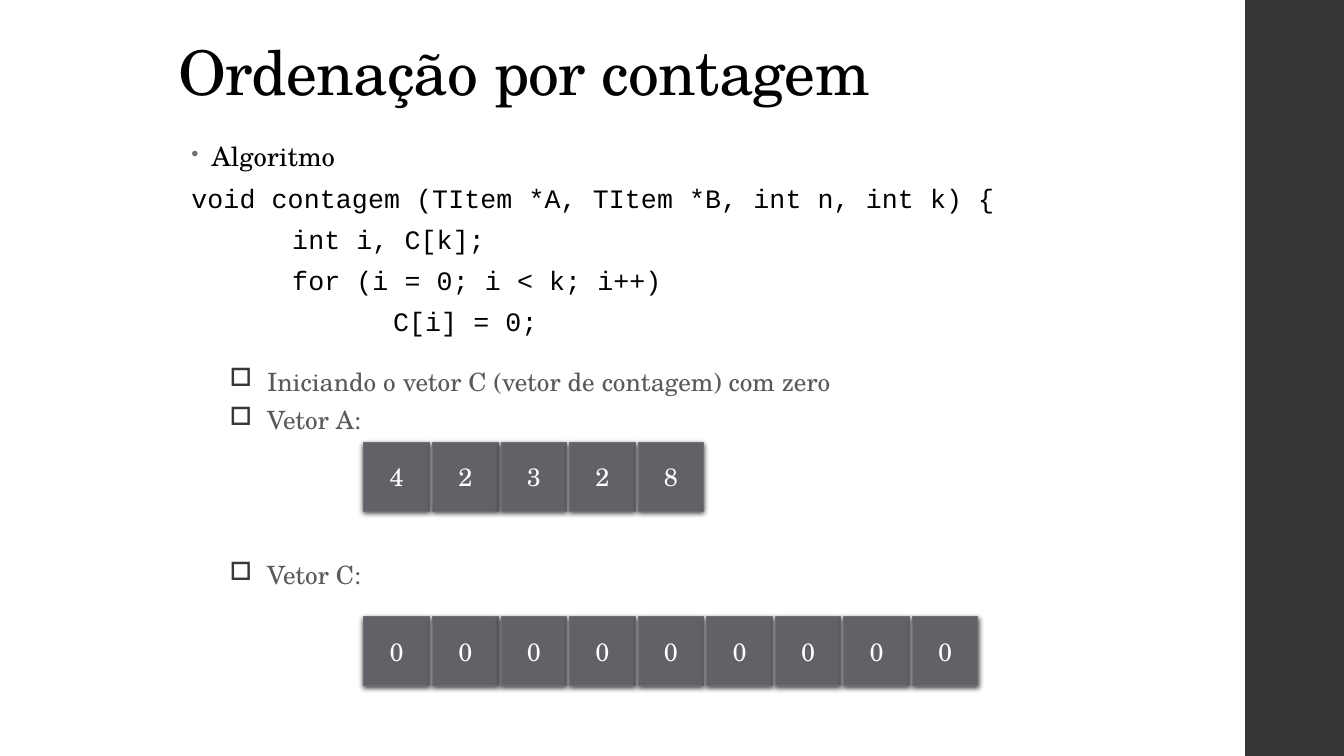
from lxml import etree
from pptx import Presentation
from pptx.dml.color import RGBColor
from pptx.enum.shapes import MSO_SHAPE
from pptx.enum.text import MSO_ANCHOR, PP_ALIGN
from pptx.oxml.ns import qn
from pptx.util import Inches, Pt

RECTANGLE = MSO_SHAPE.RECTANGLE
TOP, MIDDLE, BOTTOM = MSO_ANCHOR.TOP, MSO_ANCHOR.MIDDLE, MSO_ANCHOR.BOTTOM
LEFT, CENTER = PP_ALIGN.LEFT, PP_ALIGN.CENTER

BLACK = RGBColor(0x00, 0x00, 0x00)
WHITE = RGBColor(0xFF, 0xFF, 0xFF)
SIDEBAR = RGBColor(0x35, 0x35, 0x37)
CELL_FILL = RGBColor(0x61, 0x61, 0x68)
CELL_LINE = RGBColor(0x6F, 0x6F, 0x74)
NOTE_TEXT = RGBColor(0x59, 0x59, 0x59)
NOTE_BULLET = RGBColor(0x38, 0x38, 0x3A)

SERIF = "TeX Gyre Schola"
MONO = "Courier New"

CELL_WIDTH, CELL_HEIGHT, CELL_PITCH = 0.65, 0.68, 0.68
CODE_INDENT = 1  # inches for each nesting level


def add_element(parent, tag, **attributes):
    element = etree.SubElement(parent, qn(tag))
    for name, value in attributes.items():
        element.set(name, str(value))
    return element


def add_bullet(paragraph, character, color, percent, margin, hanging):
    properties = paragraph._p.get_or_add_pPr()
    properties.set("marL", str(Inches(margin)))
    properties.set("indent", str(-Inches(hanging)))
    add_element(add_element(properties, "a:buClr"), "a:srgbClr", val=color)
    add_element(properties, "a:buSzPct", val=percent * 1000)
    add_element(properties, "a:buChar", char=character)


def add_text(frame, text, font=SERIF, size=18, color=BLACK, align=LEFT,
             line_spacing=1.0, before=0, after=0, tracking=0, indent=0):
    """Fill the first paragraph if it is empty, otherwise append one."""
    paragraph = frame.paragraphs[0]
    if paragraph.runs:
        paragraph = frame.add_paragraph()
    paragraph.alignment = align
    paragraph.line_spacing = line_spacing
    paragraph.space_before, paragraph.space_after = Pt(before), Pt(after)
    if indent:
        paragraph._p.get_or_add_pPr().set("marL", str(Inches(indent)))
    run = paragraph.add_run()
    run.text = text
    run.font.name, run.font.size = font, Pt(size)
    run.font.color.rgb = color
    if tracking:
        run._r.get_or_add_rPr().set("spc", str(round(tracking * 100)))
    return paragraph


def add_frame(slide, box, anchor=TOP):
    frame = slide.shapes.add_textbox(*map(Inches, box)).text_frame
    frame.word_wrap = True
    frame.vertical_anchor = anchor
    return frame


def draw_sidebar(slide, box):
    shape = slide.shapes.add_shape(RECTANGLE, *map(Inches, box))
    shape.shadow.inherit = False
    shape.fill.solid()
    shape.fill.fore_color.rgb = SIDEBAR
    shape.line.fill.background()


def draw_title(slide, box, text):
    add_text(add_frame(slide, box, BOTTOM), text, size=44,
             line_spacing=0.9, tracking=-0.5)


def draw_code(slide, box, heading, lines):
    frame = add_frame(slide, box)
    paragraph = add_text(frame, heading, size=19, line_spacing=0.95,
                         before=14, after=2, tracking=0.1)
    add_bullet(paragraph, "•", CELL_LINE, 80, 0.2, 0.2)
    for level, line in lines:
        add_text(frame, line, font=MONO, size=19, line_spacing=1.2,
                 after=2, tracking=0.1, indent=level * CODE_INDENT)


def draw_notes(slide, box, notes):
    frame = add_frame(slide, box)
    for before, note in notes:
        paragraph = add_text(frame, note, color=NOTE_TEXT, before=before)
        add_bullet(paragraph, "□", NOTE_BULLET, 100, 0.75, 0.37)


def add_cell_shadow(shape):
    shape.shadow.inherit = False
    effects = shape._element.spPr.find(qn("a:effectLst"))
    shadow = add_element(effects, "a:outerShdw", blurRad=Pt(4), dist=Pt(1.2),
                         dir=90 * 60000, rotWithShape=0)
    color = add_element(shadow, "a:srgbClr", val=BLACK)
    add_element(color, "a:alpha", val=75000)


def draw_vector(slide, left, top, values):
    group = slide.shapes.add_group_shape()
    for index, value in enumerate(values):
        shape = group.shapes.add_shape(
            RECTANGLE, Inches(left + index * CELL_PITCH), Inches(top),
            Inches(CELL_WIDTH), Inches(CELL_HEIGHT))
        shape.fill.solid()
        shape.fill.fore_color.rgb = CELL_FILL
        shape.line.color.rgb = CELL_LINE
        shape.line.width = Pt(0.75)
        add_cell_shadow(shape)
        shape.text_frame.vertical_anchor = MIDDLE
        add_text(shape.text_frame, str(value), color=WHITE, align=CENTER)


presentation = Presentation()
presentation.slide_width = Inches(13.33)
presentation.slide_height = Inches(7.5)
slide = presentation.slides.add_slide(presentation.slide_layouts[6])

draw_sidebar(slide, (12.35, 0, 1, 7.5))
draw_title(slide, (1.67, 0.13, 9.75, 1), "Ordenação por contagem")

# Algorithm: nesting level and code line
draw_code(slide, (1.8, 1.36, 9.62, 2.2), "Algoritmo", [
    (0, "void contagem (TItem *A, TItem *B, int n, int k) {"),
    (1, "int i, C[k];"),
    (1, "for (i = 0; i < k; i++)"),
    (2, "C[i] = 0;"),
])

# Notes: space before in points, the last one leaving room for vector A
draw_notes(slide, (1.8, 3.58, 9.62, 3.75), [
    (6, "Iniciando o vetor C (vetor de contagem) com zero"),
    (6, "Vetor A:"),
    (89, "Vetor C:"),
])

# Vectors A and C
draw_vector(slide, 3.61, 4.39, [4, 2, 3, 2, 8])
draw_vector(slide, 3.61, 6.12, [0] * 9)

presentation.save("out.pptx")
